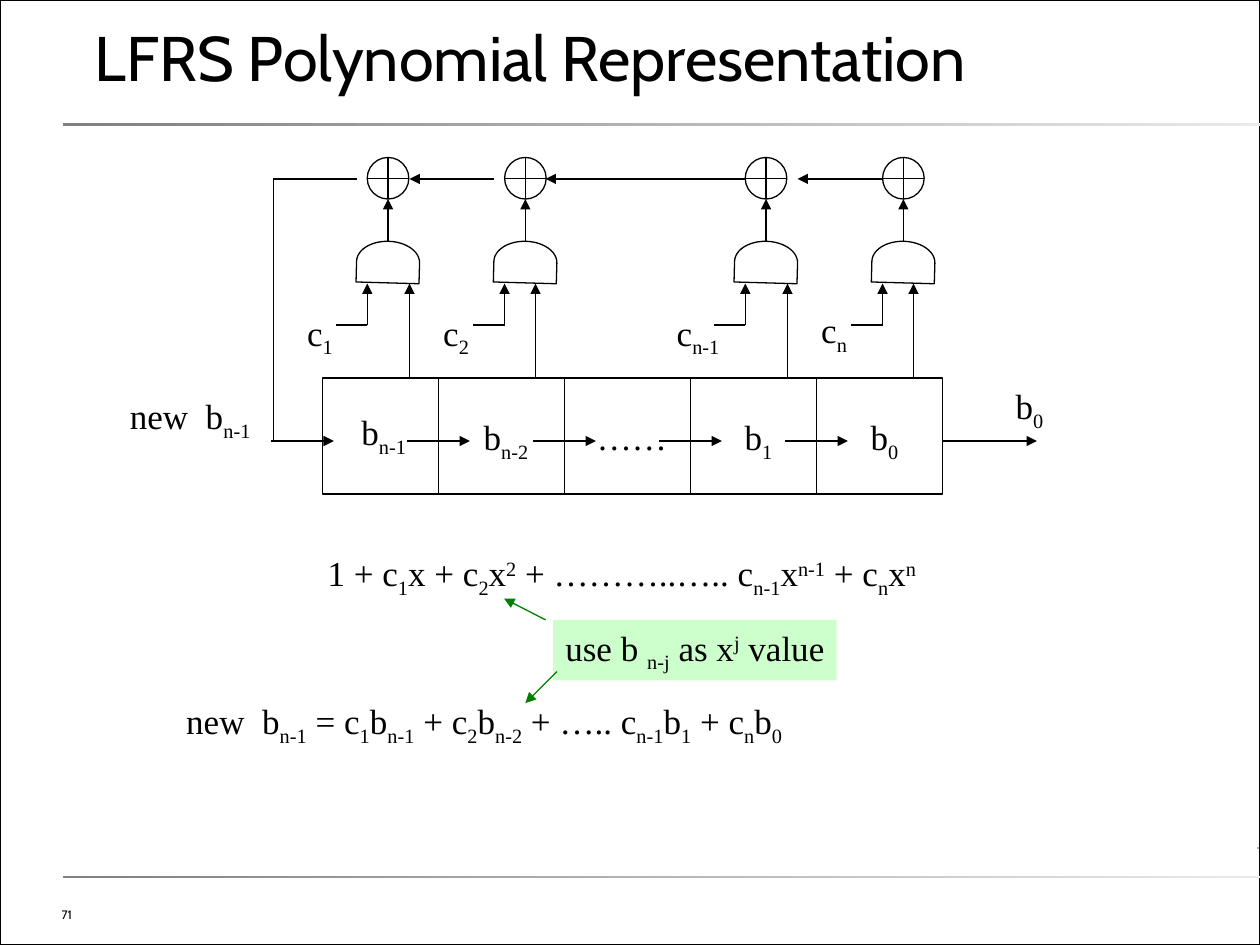
from dataclasses import dataclass

from pptx import Presentation
from pptx.dml.color import RGBColor
from pptx.enum.shapes import MSO_CONNECTOR, MSO_SHAPE as Preset
from pptx.enum.text import MSO_ANCHOR, MSO_AUTO_SIZE, PP_ALIGN
from pptx.oxml.ns import qn
from pptx.util import Inches, Pt
from lxml.etree import SubElement

COLORS = {"ink": "000000", "pointer": "008000", "note": "CCFFCC",
          "rule_dark": "808080", "rule_light": "EAEAEA", "mark_light": "D5D5D5"}
TITLE_FONT, MATH_FONT = "Cabin", "Times New Roman"

REGISTER_TOP, REGISTER_HEIGHT = 3, 0.92
SHIFT_Y, FEEDBACK_Y, COEFFICIENT_Y = 3.5, 1.42, 2.58
GATE_TOP, GATE_BOTTOM = 1.92, 2.25
XOR_SIZE, XOR_BOTTOM = 0.33, 1.58


@dataclass
class Label:
    """Text parts are split by |; a leading _ or ^ lowers or raises a part."""
    text: str
    left: float
    top: float
    width: float
    height: float = 0.48


@dataclass
class Stage:
    center: float
    tap: float
    coefficient: Label


STAGES = [
    Stage(3.08, 3.25, Label("c|_1", 2.34, 2.42, 0.4)),
    Stage(4.17, 4.25, Label("c|_2", 3.42, 2.42, 0.4)),
    Stage(6.08, 6.25, Label("c|_n-1", 5.27, 2.42, 0.54)),
    Stage(7.17, 7.25, Label("c|_n", 6.42, 2.4, 0.4)),
]
REGISTER_LABELS = [
    Label("b|_n-1", 2.77, 3.21, 0.55),
    Label("b|_n-2", 3.74, 3.25, 0.55),
    Label("……", 4.64, 3.25, 0.75, 0.44),
    Label("b|_1", 5.81, 3.25, 0.42),
    Label("b|_0", 6.81, 3.25, 0.42),
    Label("b|_0", 7.96, 3, 0.42),
    Label("new  b|_n-1", 0.93, 3.08, 1.16),
]
POLYNOMIAL = Label("1 + c|_1|x + c|_2|x|^2| + ………..….. c|_n-1|x|^n-1| + c|_n|x|^n",
                   2.5, 4.33, 4.87)
RECURRENCE = Label("new  b|_n-1| = c|_1|b|_n-1| + c|_2|b|_n-2| + ….. "
                   "c|_n-1|b|_1| + c|_n|b|_0", 1.38, 5.5, 5.2)
NOTE = Label("use b |_n-j| as x|^j| value", 4.39, 4.92, 2.25)


def rgb(name: str) -> RGBColor:
    return RGBColor.from_string(COLORS[name])


def style_font(font, face: str, size: float) -> None:
    font.name, font.size = face, Pt(size)
    font.color.rgb = rgb("ink")


def add_outline(slide, preset, left: float, top: float, width: float, height: float,
                weight: float = 0.75):
    """Add an unfilled shape with a black line."""
    shape = slide.shapes.add_shape(preset, Inches(left), Inches(top),
                                   Inches(width), Inches(height))
    shape.shadow.inherit = False
    shape.fill.background()
    shape.line.color.rgb = rgb("ink")
    shape.line.width = Pt(weight)
    return shape


def add_gradient_bar(slide, left: float, top: float, width: float, height: float,
                     light: str) -> None:
    bar = add_outline(slide, Preset.RECTANGLE, left, top, width, height)
    bar.line.fill.background()
    bar.fill.gradient()
    bar.fill.gradient_angle = 0
    for stop, color in zip(bar.fill.gradient_stops, ("rule_dark", light)):
        stop.color.rgb = rgb(color)


def add_line(slide, x1: float, y1: float, x2: float, y2: float,
             arrow: bool = True, color: str = "ink") -> None:
    line = slide.shapes.add_connector(MSO_CONNECTOR.STRAIGHT, Inches(x1), Inches(y1),
                                      Inches(x2), Inches(y2))
    line.line.color.rgb = rgb(color)
    line.line.width = Pt(0.75)
    if arrow:
        SubElement(line.line._get_or_add_ln(), qn("a:tailEnd"), type="triangle")
    SubElement(line._element.spPr, qn("a:effectLst"))


def add_label(slide, label: Label, align=PP_ALIGN.CENTER, side_margin: float = 0.03):
    """Add a one-line label; narrow side margins keep it from breaking."""
    box = slide.shapes.add_textbox(Inches(label.left), Inches(label.top),
                                   Inches(label.width), Inches(label.height))
    frame = box.text_frame
    frame.word_wrap = True
    frame.auto_size = MSO_AUTO_SIZE.NONE
    frame.margin_left = frame.margin_right = Inches(side_margin)
    paragraph = frame.paragraphs[0]
    paragraph.alignment = align
    style_font(paragraph.font, MATH_FONT, 20)
    baselines = {"_": "-25000", "^": "30000"}
    for part in label.text.split("|"):
        run = paragraph.add_run()
        run.text = part.lstrip("_^")
        if part[0] in baselines:
            run.font._element.set("baseline", baselines[part[0]])
    return box


def add_frame(slide) -> None:
    add_gradient_bar(slide, 9.98, 6.72, 0.01, 0.02, "mark_light")
    add_outline(slide, Preset.RECTANGLE, 0, 0, 10, 7.5, weight=1)
    for top in (0.98, 6.95):
        add_gradient_bar(slide, 0.5, top, 9.53, 0.02, "rule_light")


def add_title(slide) -> None:
    title = slide.shapes.title
    title.left, title.top = Inches(0.75), Inches(0.16)
    title.width, title.height = Inches(8.5), Inches(0.59)
    frame = title.text_frame
    frame.text = "LFRS Polynomial Representation"
    frame.margin_left = frame.margin_right = frame.margin_top = frame.margin_bottom = 0
    frame.vertical_anchor = MSO_ANCHOR.BOTTOM
    frame.auto_size = MSO_AUTO_SIZE.NONE
    paragraph = frame.paragraphs[0]
    paragraph.alignment = PP_ALIGN.LEFT
    paragraph.line_spacing = Pt(26)
    style_font(paragraph.font, TITLE_FONT, 36)


def add_register(slide) -> None:
    add_outline(slide, Preset.RECTANGLE, 2.56, REGISTER_TOP, 4.92, REGISTER_HEIGHT)
    for cell in range(4):
        divider = 3.48 + cell
        add_line(slide, divider, REGISTER_TOP, divider, REGISTER_TOP + REGISTER_HEIGHT,
                 arrow=False)
        add_line(slide, 3.23 + cell, SHIFT_Y, 3.73 + cell, SHIFT_Y)
    add_line(slide, 2.15, SHIFT_Y, 2.65, SHIFT_Y)
    add_line(slide, 7.48, SHIFT_Y, 8.23, SHIFT_Y)
    for label in REGISTER_LABELS:
        add_label(slide, label)


def add_stage(slide, stage: Stage) -> None:
    """Draw an AND gate feeding an XOR, with its register tap and coefficient."""
    left = stage.center - XOR_SIZE / 2
    gate = add_outline(slide, Preset.FLOWCHART_DELAY, left, 1.83, 0.33, 0.5)
    gate.rotation = 271.6
    add_outline(slide, Preset.FLOWCHART_OR, left, 1.25, XOR_SIZE, XOR_SIZE)
    add_line(slide, stage.center, GATE_TOP, stage.center, XOR_BOTTOM)
    add_line(slide, stage.tap, REGISTER_TOP, stage.tap, GATE_BOTTOM)
    add_line(slide, left, COEFFICIENT_Y, left, GATE_BOTTOM)
    add_line(slide, left, COEFFICIENT_Y, left - 0.25, COEFFICIENT_Y, arrow=False)
    add_label(slide, stage.coefficient)


def add_feedback(slide) -> None:
    for start, end in ((7, 6.33), (5.92, 4.33), (3.92, 3.25)):
        add_line(slide, start, FEEDBACK_Y, end, FEEDBACK_Y)
    add_line(slide, 2.83, FEEDBACK_Y, 2.17, FEEDBACK_Y, arrow=False)
    add_line(slide, 2.17, FEEDBACK_Y, 2.17, SHIFT_Y, arrow=False)


def add_equations(slide) -> None:
    add_label(slide, POLYNOMIAL)
    add_label(slide, RECURRENCE, PP_ALIGN.LEFT, side_margin=0.1)
    note = add_label(slide, NOTE)
    note.fill.solid()
    note.fill.fore_color.rgb = rgb("note")
    add_line(slide, 4.42, 5.33, 4.17, 5.58, color="pointer")
    add_line(slide, 4.33, 4.92, 4, 4.75, color="pointer")


def add_page_number(slide) -> None:
    box = slide.shapes.add_textbox(Inches(0.39), Inches(7.14), Inches(3.49), Inches(0.23))
    box.text_frame.word_wrap = True
    box.text_frame.vertical_anchor = MSO_ANCHOR.BOTTOM
    box.text_frame.text = "71"
    style_font(box.text_frame.paragraphs[0].font, TITLE_FONT, 7)


def main() -> None:
    deck = Presentation()
    deck.slide_width, deck.slide_height = Inches(10), Inches(7.5)
    slide = deck.slides.add_slide(deck.slide_layouts[5])
    add_frame(slide)
    add_title(slide)
    add_register(slide)
    for stage in STAGES:
        add_stage(slide, stage)
    add_feedback(slide)
    add_equations(slide)
    add_page_number(slide)
    deck.save("out.pptx")


if __name__ == "__main__":
    main()
